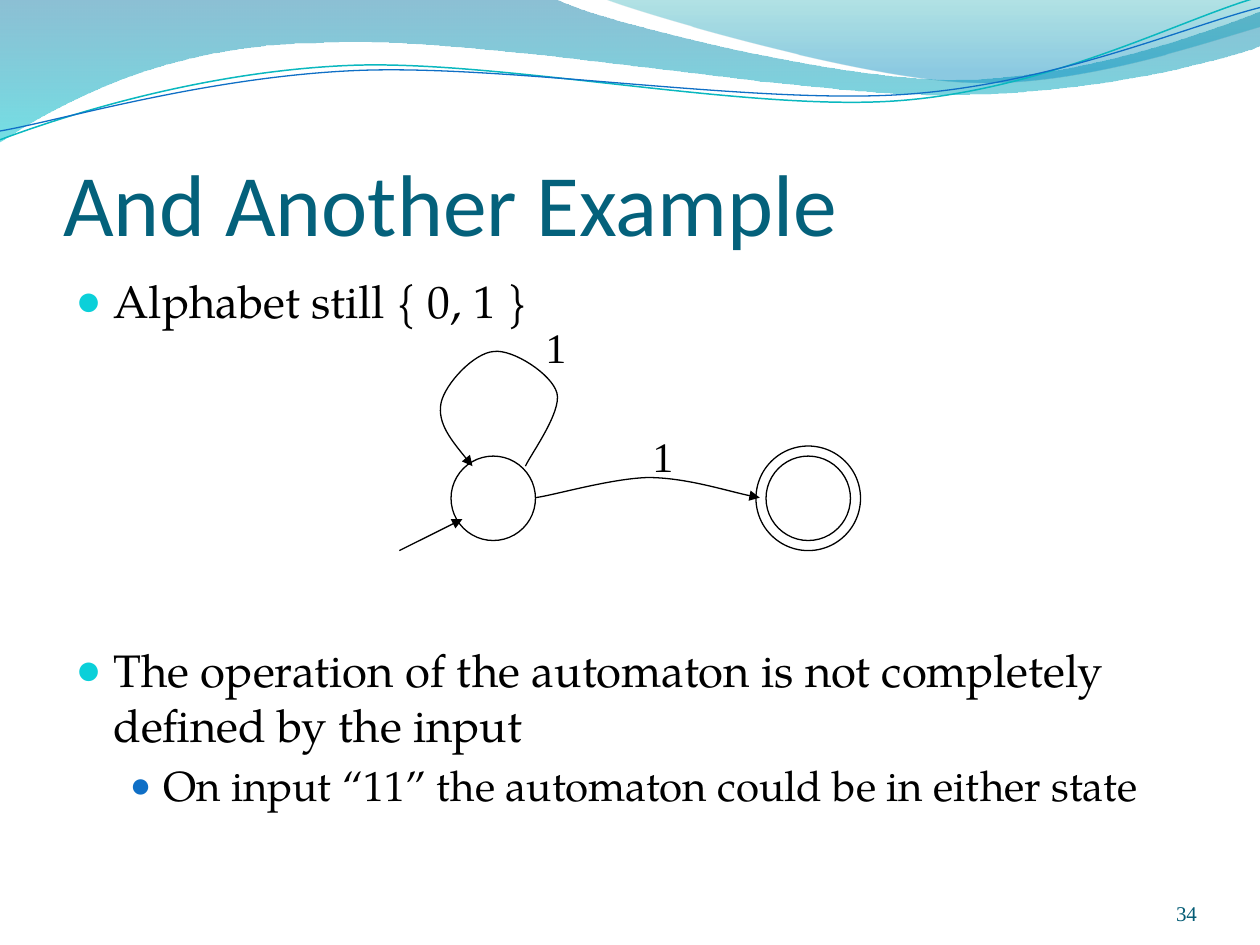
from lxml.etree import SubElement
from pptx import Presentation
from pptx.dml.color import RGBColor
from pptx.enum.shapes import MSO_CONNECTOR, MSO_SHAPE
from pptx.enum.text import MSO_ANCHOR, MSO_AUTO_SIZE, PP_ALIGN
from pptx.oxml.ns import qn
from pptx.util import Cm, Pt

COLORS = {
    "title": "04617B", "text": "000000", "number": "045C75",
    "cyan": "0BD0D9", "blue": "0F6FC6", "teal": "0AB8BF",
    "wave_top": "0074A1", "wave_end": "00C6CF",
    "crest_top": "00A1A9", "crest_end": "008BBF",
}
FONTS = {"title": "Calibri", "body": "TeX Gyre Pagella", "label": "Times New Roman"}


def inch(*values):
    return [Cm(2.54 * v) for v in values]


def rgb(name):
    return RGBColor.from_string(COLORS[name])


class SlideBuilder:
    """Hold the style and the current slide, and draw each kind of element."""

    def __init__(self, prs):
        self.slide = prs.slides.add_slide(prs.slide_layouts[1])
        self.shapes = self.slide.shapes

    def start_group(self):
        self.shapes = self.slide.shapes.add_group_shape().shapes

    def style_run(self, p, font, size, color):
        for r in p.runs:
            r.font.name, r.font.size = FONTS[font], Pt(size)
            r.font.color.rgb = rgb(color)

    def place(self, sp, box):
        sp.left, sp.top, sp.width, sp.height = inch(*box)
        tf = sp.text_frame
        tf.auto_size = MSO_AUTO_SIZE.NONE
        return tf

    def title(self, text, box):
        tf = self.place(self.slide.shapes.title, box)
        tf.margin_left = tf.margin_right = tf.margin_bottom = 0
        tf.vertical_anchor = MSO_ANCHOR.BOTTOM
        tf.text = text
        p = tf.paragraphs[0]
        p.alignment = PP_ALIGN.LEFT
        self.style_run(p, "title", 50, "title")

    def bullets(self, items, box):
        tf = self.place(self.slide.placeholders[1], box)
        tf.vertical_anchor = MSO_ANCHOR.TOP
        for i, (text, level, before) in enumerate(items):
            p = tf.paragraphs[0] if i == 0 else tf.add_paragraph()
            p.text, p.level, p.space_before = text, level, Pt(before)
            size, left, hang, color, scale = (
                (24, 0.7, 0.27, "blue", 85) if level else (26, 0.3, 0.3, "cyan", 95))
            self.style_run(p, "body", size, "text")
            pPr = p._p.get_or_add_pPr()
            pPr.set("marL", str(inch(left)[0]))
            pPr.set("indent", str(-inch(hang)[0]))
            clr = SubElement(pPr, qn("a:buClr"))
            SubElement(clr, qn("a:srgbClr"), val=COLORS[color])
            SubElement(pPr, qn("a:buSzPct"), val=str(scale * 1000))
            SubElement(pPr, qn("a:buChar"), char="●")

    def label(self, text, box, size=24, color="text"):
        sp = self.shapes.add_textbox(*inch(*box))
        tf = sp.text_frame
        tf.text = text
        self.style_run(tf.paragraphs[0], "label", size, color)
        return tf

    def number(self, text, box):
        tf = self.label(text, box, 12, "number")
        tf.margin_left = tf.margin_right = tf.margin_top = tf.margin_bottom = 0
        tf.vertical_anchor = MSO_ANCHOR.BOTTOM
        tf.word_wrap = True
        tf.paragraphs[0].alignment = PP_ALIGN.RIGHT

    def outline(self, sp, color="text", width=0.75, arrow=False):
        sp.line.color.rgb, sp.line.width = rgb(color), Pt(width)
        if arrow:
            SubElement(sp.line._get_or_add_ln(), qn("a:tailEnd"), type="triangle")

    def freeform(self, *parts, close=False):
        start, *rest = [inch(*pt) for part in parts for pt in part]
        fb = self.shapes.build_freeform(*start)
        fb.add_line_segments(rest, close=close)
        sp = fb.convert_to_shape()
        sp.shadow.inherit = False
        path = next(sp._element.iter(qn("a:path")))
        nodes = [n for n in path if n.tag != qn("a:close")]
        for part in parts:
            _, *controls = nodes[:len(part)]
            nodes = nodes[len(part):]
            for i in range(0, len(controls), 3):
                cubic = SubElement(path, qn("a:cubicBezTo"))
                controls[i].addprevious(cubic)
                for node in controls[i:i + 3]:
                    cubic.append(node[0])
                    path.remove(node)
        return sp

    def curve(self, points, **style):
        sp = self.freeform(points)
        sp.fill.background()
        self.outline(sp, **style)

    def wave(self, parts, stops):
        sp = self.freeform(*parts, close=True)
        sp.line.fill.background()
        sp.fill.gradient()
        sp.fill.gradient_angle = 270
        for stop, (position, color, _) in zip(sp.fill.gradient_stops, stops):
            stop.position, stop.color.rgb = position, rgb(color)
        for clr, (_, _, alpha) in zip(sp._element.spPr.iter(qn("a:srgbClr")), stops):
            SubElement(clr, qn("a:alpha"), val=str(alpha * 1000))

    def circle(self, x, y, size):
        sp = self.shapes.add_shape(MSO_SHAPE.OVAL, *inch(x, y, size, size))
        sp.shadow.inherit = False
        sp.fill.background()
        self.outline(sp)

    def arrow(self, *ends):
        sp = self.shapes.add_connector(MSO_CONNECTOR.STRAIGHT, *inch(*ends))
        self.outline(sp, arrow=True)
        SubElement(sp._element.spPr, qn("a:effectLst"))


def main():
    prs = Presentation()
    prs.slide_width, prs.slide_height = inch(10, 7.5)
    s = SlideBuilder(prs)

    upper = [(4.4, -0.01), (4.76, 0.17), (6.64, 0.63), (7.58, 0.63),
             (8.53, 0.63), (9.58, 0.26), (10, 0.09)]
    lower = [(10.01, 0.36), (9.83, 0.44), (8.7, 0.76), (7.46, 0.75),
             (6.22, 0.75), (3.82, 0.28), (2.57, 0.34),
             (1.29, 0.35), (0.46, 0.83), (-0.01, 1.13)]
    crest = [(4.79, -0.01), (5.09, 0.11), (6.82, 0.62), (7.69, 0.65),
             (8.56, 0.69), (9.61, 0.32), (10, 0.21)]
    s.wave([[(0, -0.01)], upper, lower],
           [(0, "wave_top", 45), (1, "wave_end", 55)])
    s.wave([crest, [(10, 0)]],
           [(0, "crest_top", 30), (0.8, "crest_end", 45)])
    s.curve([(0, 1.11), (0.48, 0.93), (1.58, 0.57), (2.77, 0.52),
             (3.95, 0.47), (5.93, 0.89), (7.13, 0.8),
             (8.33, 0.71), (9.38, 0.15), (9.98, -0.02)], color="teal", width=0.85)
    s.curve([(0, 1.04), (0.47, 0.96), (1.64, 0.61), (2.83, 0.56),
             (4.03, 0.51), (5.97, 0.83), (7.17, 0.75),
             (8.36, 0.67), (9.41, 0.21), (10, 0.06)], color="blue")

    s.number("34", (8.67, 6.95, 0.83, 0.4))
    s.title("And Another Example", (0.5, 0.77, 9, 1.25))
    s.bullets([
        ("Alphabet still { 0, 1 }", 0, 5.2),
        ("The operation of the automaton is not completely defined by the input", 0, 179.6),
        ("On input “11” the automaton could be in either state", 1, 4.8),
    ], (0.5, 2.12, 9, 4.8))

    s.start_group()
    s.curve([(4.25, 3.95), (4.4, 3.93), (4.84, 3.8), (5.14, 3.79),
             (5.44, 3.79), (5.84, 3.92), (6.03, 3.95)], arrow=True)
    s.label("1", (5.08, 3.37, 0.37, 0.5))
    for x, y, size in ((6.08, 3.62, 0.67), (6, 3.54, 0.83), (3.58, 3.62, 0.67)):
        s.circle(x, y, size)
    s.arrow(3.17, 4.37, 3.67, 4.12)
    s.curve([(4.17, 3.7), (4.21, 3.61), (4.46, 3.27), (4.42, 3.12),
             (4.38, 2.97), (4.07, 2.77), (3.92, 2.79),
             (3.76, 2.8), (3.53, 3.05), (3.5, 3.2),
             (3.47, 3.36), (3.61, 3.53), (3.75, 3.7)], arrow=True)
    s.label("1", (4.23, 2.5, 0.37, 0.5))

    prs.save("out.pptx")


if __name__ == "__main__":
    main()
